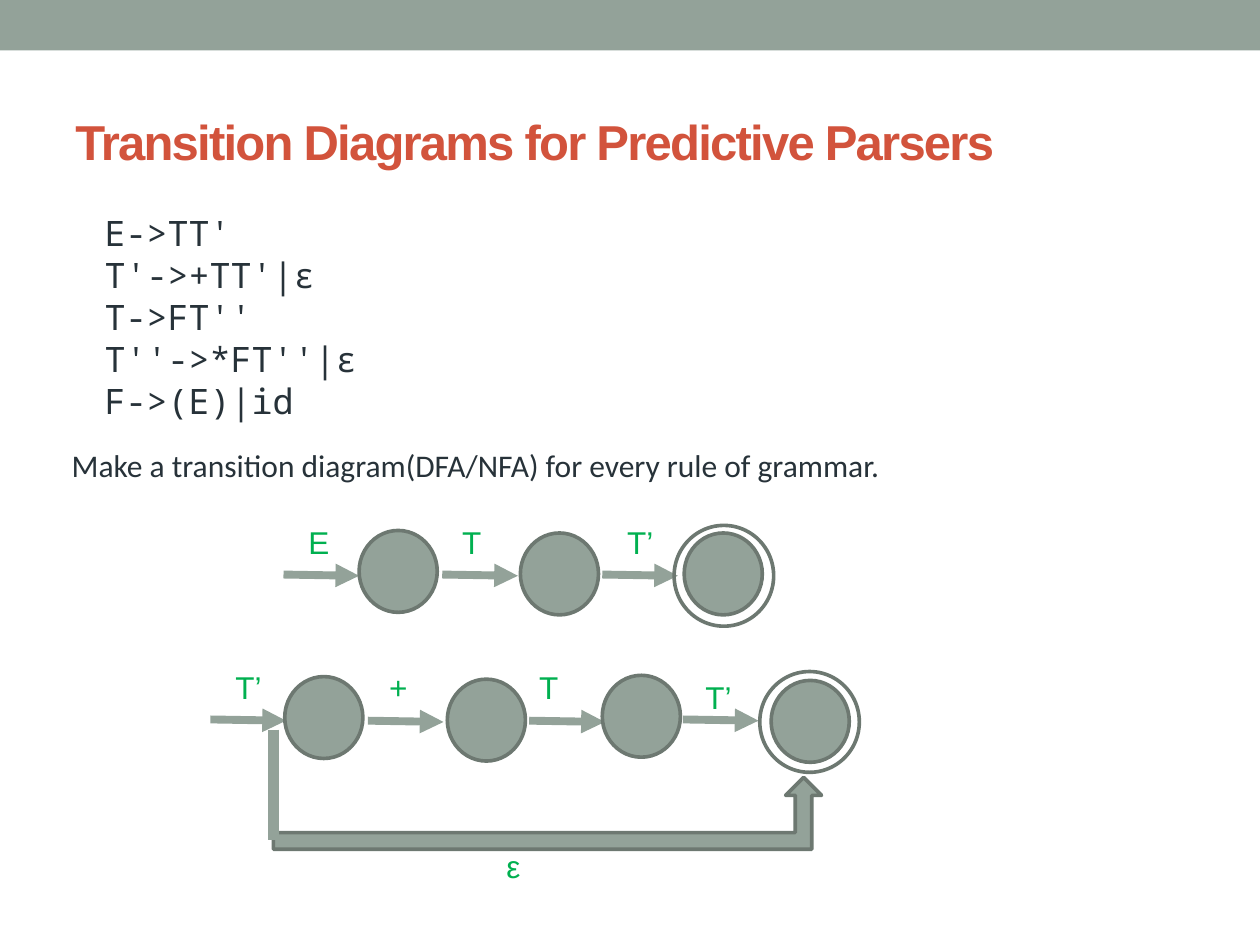
from lxml.etree import SubElement
from pptx import Presentation
from pptx.dml.color import RGBColor as Color
from pptx.enum.shapes import MSO_CONNECTOR as Connector, MSO_SHAPE as Shape
from pptx.enum.text import MSO_ANCHOR as Anchor
from pptx.oxml.ns import qn
from pptx.util import Inches, Pt

COLORS = {
    "sage": "93A299",
    "outline": "6D7871",
    "title": "D2533C",
    "body": "273239",
    "label": "00B050",
}
GRAMMAR = ["E->TT'", "T'->+TT'|ε", "T->FT''", "T''->*FT''|ε", "F->(E)|id"]
STATE_SIZE = (0.62, 0.65)
RING_SIZE = (0.79, 0.8)
ARROW_RUN, ARROW_DROP = 0.6, 0.01


def color(name):
    """Return the named colour."""
    return Color.from_string(COLORS[name])


def write(para, text, size=18, font="Arial", ink="label", bold=False, spacing=None):
    """Add a formatted run of text to a paragraph."""
    span = para.add_run()
    span.text = text
    span.font.size = Pt(size)
    span.font.name = font
    span.font.bold = bold
    span.font.color.rgb = color(ink)
    if spacing is not None:
        span.font._element.set("spc", str(round(spacing * 100)))


class DiagramSlide:
    """Holds the drawing style and the current slide."""

    def __init__(self, page):
        """Keep the slide that is drawn on."""
        self.page = page

    def shape(self, kind, left, top, width, height, fill="sage", line="outline"):
        """Draw a preset shape."""
        shape = self.page.shapes.add_shape(
            kind, Inches(left), Inches(top), Inches(width), Inches(height))
        shape.shadow.inherit = False
        if fill:
            shape.fill.solid()
            shape.fill.fore_color.rgb = color(fill)
        else:
            shape.fill.background()
        if line:
            shape.line.color.rgb = color(line)
            shape.line.width = Pt(2.08)
        else:
            shape.line.fill.background()
        return shape

    def text(self, lines, left, top, width, height, anchor=Anchor.TOP,
             insets=(0.1, 0.05, 0.1, 0.05), **style):
        """Write one paragraph per line in a text box."""
        box = self.page.shapes.add_textbox(
            Inches(left), Inches(top), Inches(width), Inches(height))
        frame = box.text_frame
        frame.word_wrap = True
        frame.vertical_anchor = anchor
        (frame.margin_left, frame.margin_top,
         frame.margin_right, frame.margin_bottom) = map(Inches, insets)
        for index, line in enumerate(lines):
            para = frame.add_paragraph() if index else frame.paragraphs[0]
            write(para, line, **style)

    def line(self, start, end, width=4.5, arrow=True):
        """Draw a straight line, with an arrowhead if wanted."""
        link = self.page.shapes.add_connector(
            Connector.STRAIGHT, *map(Inches, (*start, *end)))
        link.line.color.rgb = color("sage")
        link.line.width = Pt(width)
        if arrow:
            SubElement(link.line._get_or_add_ln(), qn("a:tailEnd"), type="triangle")
        SubElement(link._element.spPr, qn("a:effectLst"))

    def arrow(self, left, top):
        """Draw a transition arrow."""
        self.line((left, top), (left + ARROW_RUN, top + ARROW_DROP))

    def state(self, left, top):
        """Draw a state."""
        self.shape(Shape.OVAL, left, top, *STATE_SIZE)

    def ring(self, left, top):
        """Draw the outer ring of a final state."""
        self.shape(Shape.OVAL, left, top, *RING_SIZE, fill=None)

    def label(self, text, left, top):
        """Write the symbol of a transition."""
        self.text([text], left, top, 0.47, 0.4)

    def automaton(self, arrows, states, ring, labels):
        """Draw one transition diagram."""
        for place in arrows:
            self.arrow(*place)
        for place in states:
            self.state(*place)
        self.ring(*ring)
        for label in labels:
            self.label(*label)


def main():
    """Build the slide and save the deck."""
    deck = Presentation()
    deck.slide_width, deck.slide_height = Inches(10), Inches(7.5)
    slide = DiagramSlide(deck.slides.add_slide(deck.slide_layouts[6]))

    slide.shape(Shape.RECTANGLE, 0, 0, 10, 0.4, line=None)
    slide.text(["Transition Diagrams for Predictive Parsers"], 0.5, 0.58, 9, 1.08,
               anchor=Anchor.MIDDLE, size=28, ink="title", bold=True, spacing=-1)
    slide.text(GRAMMAR, 0.83, 1.67, 2.67, 1.78, anchor=Anchor.MIDDLE,
               insets=(0, 0, 0, 0.1), size=20, font="Noto Sans Mono", ink="body")
    slide.text(["Make a transition diagram(DFA/NFA) for every rule of grammar."],
               0.47, 3.49, 8.95, 0.4, font="Calibri", ink="body")

    slide.automaton(
        arrows=[(2.25, 4.56), (3.51, 4.56), (4.78, 4.56)],
        states=[(2.85, 4.21), (4.13, 4.23), (5.43, 4.23)],
        ring=(5.35, 4.17),
        labels=[("E", 2.35, 4.1), ("T", 3.57, 4.1), ("T’", 4.88, 4.1)])
    slide.automaton(
        arrows=[(1.67, 5.71), (2.92, 5.72), (4.2, 5.72), (5.42, 5.71)],
        states=[(2.26, 5.37), (3.55, 5.39), (4.78, 5.36), (6.12, 5.4)],
        ring=(6.03, 5.33),
        labels=[("T’", 1.77, 5.25), ("+", 2.99, 5.25),
                ("T", 4.18, 5.25), ("T’", 5.5, 5.33)])

    bypass = slide.shape(Shape.BENT_UP_ARROW, 2.17, 6.17, 4.35, 0.57)
    for index, value in enumerate((0.23, 0.25, 0.25)):
        bypass.adjustments[index] = value
    slide.line((2.17, 5.79), (2.17, 6.67), width=6, arrow=False)
    slide.label("ε", 3.92, 6.67)

    deck.save("out.pptx")


if __name__ == "__main__":
    main()
